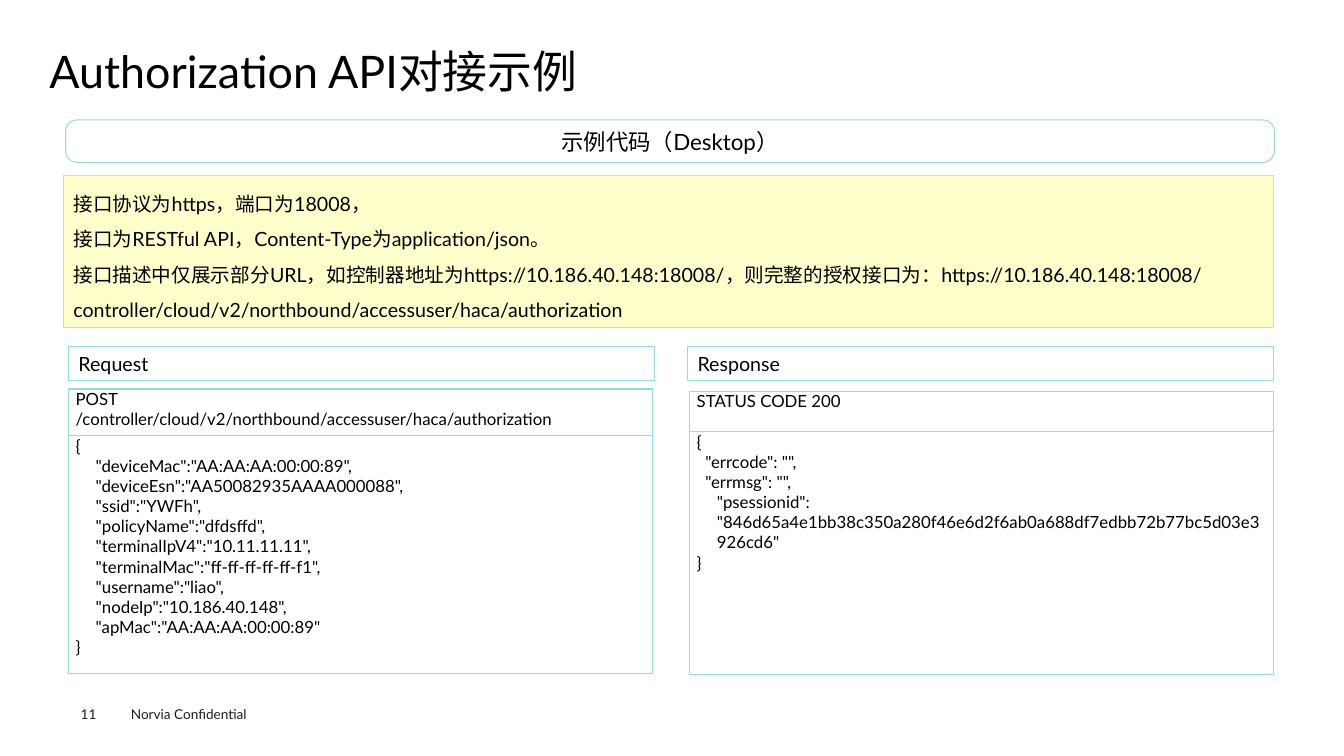
from dataclasses import dataclass

from lxml import etree
from pptx import Presentation
from pptx.dml.color import RGBColor
from pptx.enum.shapes import MSO_SHAPE
from pptx.enum.text import MSO_ANCHOR, PP_ALIGN
from pptx.oxml.ns import qn
from pptx.util import Inches, Pt

RECT, ROUNDED = MSO_SHAPE.RECTANGLE, MSO_SHAPE.ROUNDED_RECTANGLE
TOP, MIDDLE = MSO_ANCHOR.TOP, MSO_ANCHOR.MIDDLE
LEFT, CENTER = PP_ALIGN.LEFT, PP_ALIGN.CENTER


@dataclass(frozen=True)
class Theme:
    font: str = "Lato"
    ink: str = "000000"
    footer_ink: str = "1D1D1B"
    aqua: str = "94DAE2"
    note_fill: str = "FFFFCC"
    note_line: str = "FFD17D"
    title_size: float = 32
    banner_size: float = 16
    body_size: float = 14
    code_size: float = 12
    footer_size: float = 9.7


THEME = Theme()


@dataclass(frozen=True)
class Line:
    text: str
    indent: float = 0


@dataclass(frozen=True)
class Label:
    text: str
    left: float
    top: float
    width: float
    height: float
    size: float
    color: str = THEME.ink
    inset: tuple[float, float] = (0, 0)
    spacing: float = 1


@dataclass(frozen=True)
class Panel:
    lines: list[str]
    left: float
    top: float
    width: float
    height: float
    size: float = THEME.body_size
    shape: int = RECT
    line: str = THEME.aqua
    fill: str | None = None
    anchor: int = TOP
    align: int = LEFT
    inset: tuple[float, float] = (0.1, 0.05)
    spacing: float = 1


@dataclass(frozen=True)
class CodeTable:
    left: float
    top: float
    rows: list[tuple[float, list[Line]]]
    width: float = 5.79


LABELS = [
    Label("Authorization API对接示例", 0.49, 0.49, 12.35, 0.54, THEME.title_size, spacing=0.9),
    Label("11", 0.8, 7, 0.55, 0.16, THEME.footer_size, THEME.footer_ink),
    Label("Norvia Confidential", 1.2, 6.95, 1.6, 0.27, THEME.footer_size,
          THEME.footer_ink, (0.1, 0.05)),
]

PANELS = [
    Panel(["示例代码（Desktop）"], 0.65, 1.19, 11.99, 0.42, THEME.banner_size, ROUNDED,
          anchor=MIDDLE, align=CENTER, inset=(0.05, 0.05)),
    Panel(["接口协议为https，端口为18008，",
           "接口为RESTful API，Content-Type为application/json。",
           "接口描述中仅展示部分URL，如控制器地址为https://10.186.40.148:18008/，则完整的授权接口为："
           "https://10.186.40.148:18008/controller/cloud/v2/northbound/accessuser/haca/authorization"],
          0.63, 1.74, 12, 1.51, line=THEME.note_line, fill=THEME.note_fill, spacing=1.5),
    Panel(["Request"], 0.68, 3.44, 5.81, 0.34),
    Panel(["Response"], 6.82, 3.44, 5.81, 0.34),
]

REQUEST_FIELDS = [
    '"deviceMac":"AA:AA:AA:00:00:89",',
    '"deviceEsn":"AA50082935AAAA000088",',
    '"ssid":"YWFh",',
    '"policyName":"dfdsffd",',
    '"terminalIpV4":"10.11.11.11",',
    '"terminalMac":"ff-ff-ff-ff-ff-f1",',
    '"username":"liao",',
    '"nodeIp":"10.186.40.148",',
    '"apMac":"AA:AA:AA:00:00:89"',
]
FIELD_INDENT = 0.2

TABLES = [
    CodeTable(0.68, 3.86, [
        (0.46, [Line("POST"),
                Line("/controller/cloud/v2/northbound/accessuser/haca/authorization")]),
        (2.36, [Line("{"), *(Line(field, FIELD_INDENT) for field in REQUEST_FIELDS), Line("}")]),
    ]),
    CodeTable(6.84, 3.88, [
        (0.4, [Line("STATUS CODE 200")]),
        (2.41, [Line("{"),
                Line('  "errcode": "",'),
                Line('  "errmsg": "",'),
                Line('"psessionid": "846d65a4e1bb38c350a280f46e6d2f6ab0a688df7edbb72b77bc5d03e3926cd6"',
                     FIELD_INDENT),
                Line("}")]),
    ]),
]


def write_lines(frame, lines: list[Line], size: float, color: str = THEME.ink,
                align: int = LEFT, spacing: float = 1) -> None:
    frame.word_wrap = True
    for index, line in enumerate(lines):
        para = frame.add_paragraph() if index else frame.paragraphs[0]
        para.text = line.text
        para.alignment = align
        para.line_spacing = spacing
        if line.indent:
            properties = para._p.get_or_add_pPr()
            properties.set("marL", str(Inches(line.indent)))
            properties.set("indent", "0")
        para.font.name = THEME.font
        para.font.size = Pt(size)
        para.font.color.rgb = RGBColor.from_string(color)


def set_insets(frame, inset: tuple[float, float]) -> None:
    frame.margin_left = frame.margin_right = Inches(inset[0])
    frame.margin_top = frame.margin_bottom = Inches(inset[1])


def add_label(page, label: Label) -> None:
    box = page.shapes.add_textbox(Inches(label.left), Inches(label.top),
                                  Inches(label.width), Inches(label.height))
    set_insets(box.text_frame, label.inset)
    write_lines(box.text_frame, [Line(label.text)], label.size, label.color,
                spacing=label.spacing)


def add_panel(page, panel: Panel) -> None:
    box = page.shapes.add_shape(panel.shape, Inches(panel.left), Inches(panel.top),
                                Inches(panel.width), Inches(panel.height))
    box.shadow.inherit = False
    if panel.shape == ROUNDED:
        box.adjustments[0] = 0.27
    if panel.fill:
        box.fill.solid()
        box.fill.fore_color.rgb = RGBColor.from_string(panel.fill)
    else:
        box.fill.background()
    box.line.color.rgb = RGBColor.from_string(panel.line)
    box.line.width = Pt(0.75)
    set_insets(box.text_frame, panel.inset)
    box.text_frame.vertical_anchor = panel.anchor
    write_lines(box.text_frame, [Line(text) for text in panel.lines], panel.size,
                align=panel.align, spacing=panel.spacing)


def add_borders(cell) -> None:
    properties = cell._tc.get_or_add_tcPr()
    for side in ("lnL", "lnR", "lnT", "lnB"):
        border = etree.SubElement(properties, qn(f"a:{side}"), w=str(Pt(1)))
        fill = etree.SubElement(border, qn("a:solidFill"))
        etree.SubElement(fill, qn("a:srgbClr"), val=THEME.aqua)


def add_code_table(page, spec_table: CodeTable) -> None:
    height = sum(row_height for row_height, _ in spec_table.rows)
    table = page.shapes.add_table(len(spec_table.rows), 1, Inches(spec_table.left),
                                  Inches(spec_table.top), Inches(spec_table.width),
                                  Inches(height)).table
    table.first_row = table.horz_banding = False
    for index, (row_height, lines) in enumerate(spec_table.rows):
        table.rows[index].height = Inches(row_height)
        cell = table.cell(index, 0)
        set_insets(cell, (0.07, 0))
        add_borders(cell)
        cell.fill.background()
        write_lines(cell.text_frame, lines, THEME.code_size)


def main() -> None:
    deck = Presentation()
    deck.slide_width, deck.slide_height = Inches(13.33), Inches(7.5)
    page = deck.slides.add_slide(deck.slide_layouts[6])
    # Title and footer
    for label in LABELS:
        add_label(page, label)
    # Banner, interface notes and column headings
    for panel in PANELS:
        add_panel(page, panel)
    # Request and response code
    for code_table in TABLES:
        add_code_table(page, code_table)
    deck.save("out.pptx")


if __name__ == "__main__":
    main()
